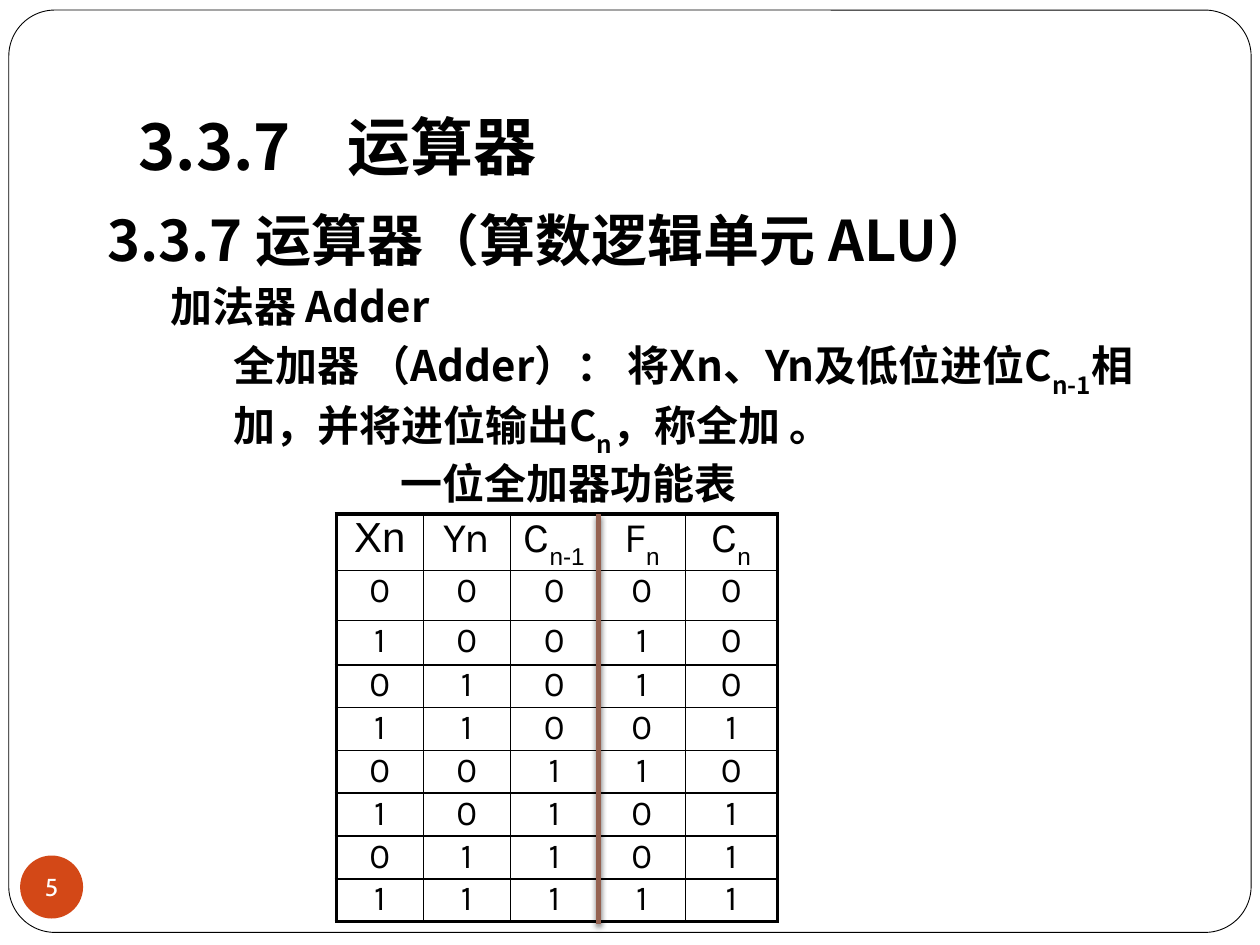
from lxml.etree import SubElement
from pptx import Presentation
from pptx.dml.color import RGBColor
from pptx.enum.shapes import MSO_CONNECTOR, MSO_SHAPE
from pptx.enum.text import MSO_ANCHOR, MSO_AUTO_SIZE, PP_ALIGN
from pptx.oxml.ns import qn
from pptx.util import Inches, Pt

BLACK = "000000"
WHITE = "FFFFFF"
NOTO = "Noto Sans CJK JP"
HEADS = ["Xn", "Yn", "C_n-1", "F_n", "C_n"]
BITS = ["00000", "10010", "01010", "11001", "00110", "10101", "01101", "11111"]
WIDTHS = [0.69, 0.69, 0.7, 0.69, 0.73]
HEIGHTS = [0.42, 0.4, 0.35] + [0.34] * 6
POINTS = [
    ("3.3.7 运算器（算数逻辑单元 ALU）", 32),
    ("加法器 Adder", 24),
    ("全加器 （Adder）： 将Xn、Yn及低位进位C_n-1_相加，并将进位输出C_n_，称全加 。", 24),
]


def color(code):
    return RGBColor.from_string(code)


def place(shape, *box):
    shape.left, shape.top, shape.width, shape.height = map(Inches, box)


def style(para, size, face, code=BLACK, bold=False):
    font = para.font
    font.size, font.name, font.bold = Pt(size), face, bold
    font.color.rgb = color(code)
    props = para._p.get_or_add_pPr().find(qn("a:defRPr"))
    SubElement(props, qn("a:ea"), typeface=face)


def spell(para, text, face=None):
    for index, part in enumerate(text.split("_")):
        run = para.add_run()
        run.text = part
        if index % 2:
            run._r.get_or_add_rPr().set("baseline", "-30000")
            if face:
                run.font.name = face


def add_frame(slide):
    frame = slide.shapes.add_shape(
        MSO_SHAPE.ROUNDED_RECTANGLE, Inches(0.07), Inches(0.08), Inches(9.86), Inches(7.32)
    )
    frame.adjustments[0] = 0.05
    frame.shadow.inherit = False
    frame.fill.solid()
    frame.fill.fore_color.rgb = color(WHITE)
    frame.line.color.rgb = color(BLACK)
    frame.line.width = Pt(0.5)
    slide.shapes._spTree.insert(2, frame._element)


def add_title(slide):
    title = slide.shapes.title
    place(title, 1, 0.3, 8.5, 1.25)
    text = title.text_frame
    text.auto_size = MSO_AUTO_SIZE.NONE
    text.vertical_anchor = MSO_ANCHOR.BOTTOM
    text.margin_bottom = Inches(0.1)
    para = text.paragraphs[0]
    para.alignment = PP_ALIGN.LEFT
    tabs = SubElement(para._p.get_or_add_pPr(), qn("a:tabLst"))
    SubElement(tabs, qn("a:tab"), pos=str(Inches(1.66)), algn="l")
    style(para, 36, NOTO, bold=True)
    spell(para, "3.3.7\t运算器")


def add_body(slide):
    body = slide.placeholders[1]
    place(body, 0.75, 1.58, 8.67, 5.08)
    text = body.text_frame
    text.auto_size = MSO_AUTO_SIZE.NONE
    for level, (words, size) in enumerate(POINTS):
        para = text.add_paragraph() if level else text.paragraphs[0]
        para.level = level
        props = para._p.get_or_add_pPr()
        props.set("marL", str(Inches(level * 0.5)))
        props.set("indent", "0")
        SubElement(props, qn("a:buNone"))
        style(para, size, NOTO, bold=True)
        spell(para, words)


def add_label(slide):
    box = slide.shapes.add_textbox(Inches(3.08), Inches(3.58), Inches(2.88), Inches(0.5))
    text = box.text_frame
    text.word_wrap = False
    text.auto_size = MSO_AUTO_SIZE.SHAPE_TO_FIT_TEXT
    para = text.paragraphs[0]
    style(para, 24, NOTO, bold=True)
    spell(para, "一位全加器功能表")


def add_badge(slide):
    badge = slide.shapes.add_shape(
        MSO_SHAPE.OVAL, Inches(0.16), Inches(6.79), Inches(0.5), Inches(0.5)
    )
    badge.shadow.inherit = False
    badge.fill.solid()
    badge.fill.fore_color.rgb = color("D34817")
    badge.line.fill.background()
    text = badge.text_frame
    text.word_wrap = False
    text.vertical_anchor = MSO_ANCHOR.MIDDLE
    text.margin_left = text.margin_right = text.margin_top = text.margin_bottom = 0
    para = text.paragraphs[0]
    para.alignment = PP_ALIGN.CENTER
    style(para, 14, "Cabin", WHITE)
    spell(para, "5")


def add_edges(cell, outer):
    props = cell._tc.get_or_add_tcPr()
    for side, thick in outer.items():
        width = Pt(2.25 if thick else 1)
        line = SubElement(props, qn(f"a:ln{side}"), w=str(width))
        fill = SubElement(line, qn("a:solidFill"))
        SubElement(fill, qn("a:srgbClr"), val=BLACK)


def add_grid(slide):
    rows = [HEADS] + BITS
    frame = slide.shapes.add_table(
        len(rows), len(HEADS), Inches(2.67), Inches(4.08), Inches(3.5), Inches(3.22)
    )
    table = frame.table
    table.first_row = table.horz_banding = False
    for column, width in zip(table.columns, WIDTHS):
        column.width = Inches(width)
    for row, height in zip(table.rows, HEIGHTS):
        row.height = Inches(height)
    for y, row in enumerate(rows):
        for x, value in enumerate(row):
            cell = table.cell(y, x)
            cell.margin_left = cell.margin_right = cell.margin_top = cell.margin_bottom = 0
            add_edges(cell, {
                "L": x == 0, "R": x == len(HEADS) - 1,
                "T": y == 0, "B": y == len(rows) - 1,
            })
            cell.fill.background()
            para = cell.text_frame.paragraphs[0]
            para.alignment = PP_ALIGN.CENTER
            style(para, 20 if y else 24, "Arial" if value == "Xn" else "Karla")
            spell(para, value, "Arial")


def add_rule(slide):
    rule = slide.shapes.add_connector(
        MSO_CONNECTOR.STRAIGHT, Inches(4.75), Inches(4.08), Inches(4.75), Inches(7.33)
    )
    rule.line.color.rgb = color("956251")
    rule.line.width = Pt(3)
    effect = SubElement(rule._element.spPr, qn("a:effectLst"))
    shadow = SubElement(
        effect, qn("a:outerShdw"), blurRad=str(Pt(3)), dist=str(Pt(2)), dir="5400000"
    )
    tint = SubElement(shadow, qn("a:srgbClr"), val=BLACK)
    SubElement(tint, qn("a:alpha"), val="50000")


def main():
    deck = Presentation()
    deck.slide_width, deck.slide_height = Inches(10), Inches(7.5)
    slide = deck.slides.add_slide(deck.slide_layouts[1])
    add_frame(slide)
    add_title(slide)
    add_badge(slide)
    add_grid(slide)
    add_body(slide)
    add_label(slide)
    add_rule(slide)
    deck.save("out.pptx")


if __name__ == "__main__":
    main()
